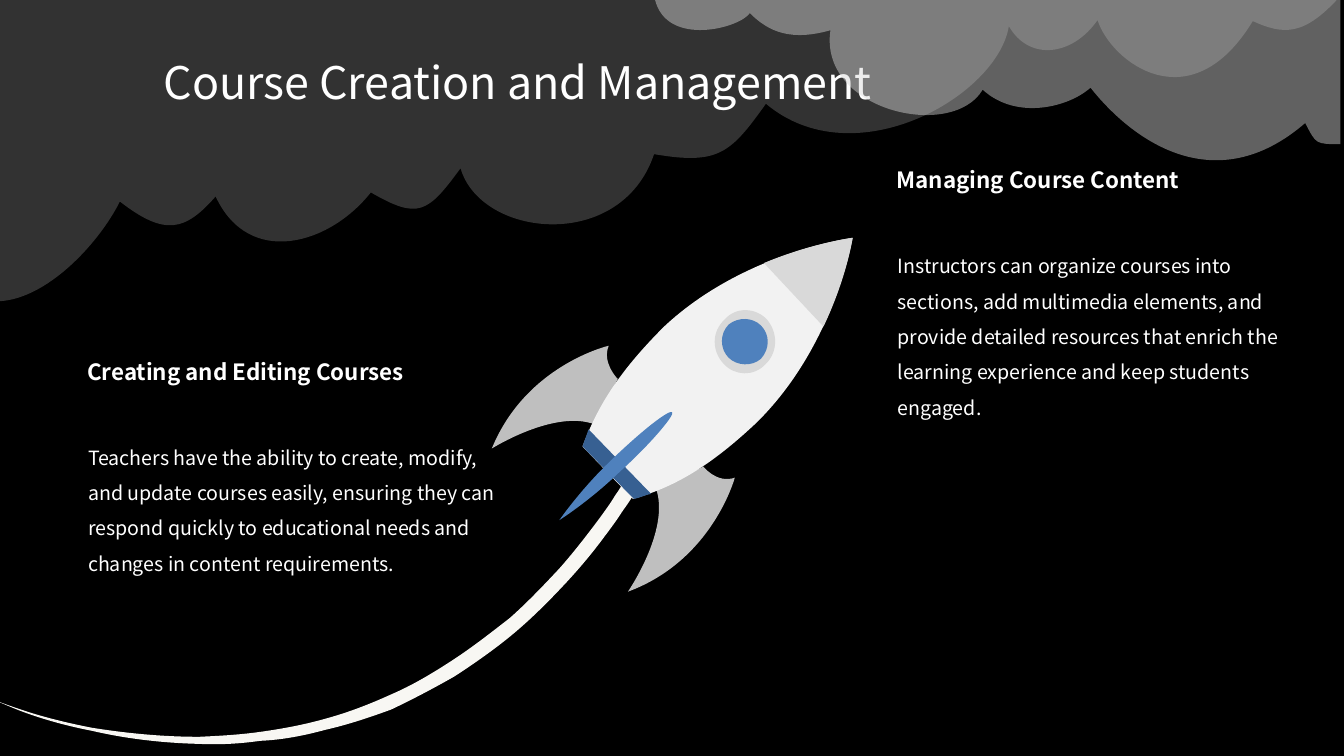
from math import cos, radians, sin

from lxml.etree import SubElement
from pptx import Presentation
from pptx.dml.color import RGBColor
from pptx.enum.text import MSO_AUTO_SIZE
from pptx.oxml.ns import qn
from pptx.util import Cm, Pt

FONT = "Noto Sans CJK SC"
GRID = Cm(2.54)
TILT = 10.1
CURVE_STEPS = 24

TITLE = ("Course Creation and Management", (3.87, 1.26, 19.79, 1.63))
COLUMNS = [
    ((1.95, 8.89), "Creating and Editing Courses",
     "Teachers have the ability to create, modify, and update courses easily, ensuring they can "
     "respond quickly to educational needs and changes in content requirements."),
    ((22.35, 4.07), "Managing Course Content",
     "Instructors can organize courses into sections, add multimedia elements, and provide "
     "detailed resources that enrich the learning experience and keep students engaged."),
]
TITLE_FORMAT = {"size": Pt(32)}
HEADING_FORMAT = {"size": Pt(16), "bold": True}
BODY_FORMAT = {"size": Pt(14)}

# Each outline holds points (x, y) and cubic curves (x1, y1, x2, y2, x, y) in GRID units.
LARGE_CLOUD = [
    (-0.04, 2.99), (0.45, 2.99, 0.98, 2.42, 1.19, 2), (1.64, 2.35, 1.84, 2.29, 2.14, 1.95),
    (2.47, 2.66, 3.27, 2.43, 3.68, 1.91), (4.15, 2.18, 4.24, 2.12, 4.57, 1.67),
    (4.77, 2.36, 6.16, 2.51, 6.49, 1.53), (7.13, 1.64, 7.25, 1.52, 7.6, 1.03),
    (8.48, 1.77, 9.9, 0.95, 10.01, 0.26), (10.21, 0.61, 10.64, 0.56, 10.89, 0.2),
    (11.02, 0.61, 11.81, 1.23, 12.43, 0.21), (12.74, 0.35, 12.94, 0.36, 13.3, -0.04),
    (-0.04, -0.04),
]
SMALL_CLOUD = [
    (13.3, 1.43), (13.05, 1.43, 13.06, 1.43, 12.95, 1.22), (12.06, 1.99, 11.24, 1.4, 10.82, 0.87),
    (10.61, 1.06, 10.09, 1.2, 9.75, 0.89), (9.45, 1.4, 8.12, 1.1, 8.24, 0.3),
    (7.85, 0.41, 7.63, 0.32, 7.44, 0.13), (7.34, 0.28, 6.62, 0.47, 6.5, 0), (13.3, 0),
]
TRAIL = [
    (-0.09, 6.93), (-0.09, 6.93, 0, 6.97, 0.18, 7.03), (0.35, 7.09, 0.6, 7.16, 0.91, 7.22),
    (1.22, 7.27, 1.59, 7.31, 1.98, 7.31), (2.18, 7.3, 2.38, 7.29, 2.59, 7.26),
    (2.8, 7.23, 3.02, 7.19, 3.23, 7.13), (3.45, 7.07, 3.66, 6.99, 3.88, 6.89),
    (4.09, 6.8, 4.29, 6.68, 4.49, 6.55), (4.69, 6.42, 4.88, 6.27, 5.06, 6.13),
    (5.24, 5.97, 5.4, 5.8, 5.55, 5.64), (5.7, 5.47, 5.83, 5.3, 5.95, 5.14),
    (6, 5.07, 6.06, 4.99, 6.1, 4.92), (6.15, 4.85, 6.19, 4.78, 6.23, 4.73),
    (6.27, 4.66, 6.3, 4.61, 6.33, 4.56), (6.36, 4.51, 6.38, 4.47, 6.41, 4.43),
    (6.45, 4.36, 6.46, 4.32, 6.46, 4.32), (6.55, 4.48),
    (6.55, 4.48, 6.53, 4.51, 6.49, 4.59), (6.47, 4.62, 6.44, 4.67, 6.41, 4.72),
    (6.38, 4.76, 6.35, 4.82, 6.3, 4.88), (6.27, 4.94, 6.22, 5.01, 6.17, 5.08),
    (6.12, 5.16, 6.06, 5.24, 6, 5.32), (5.89, 5.47, 5.75, 5.64, 5.59, 5.81),
    (5.44, 5.97, 5.27, 6.14, 5.09, 6.29), (4.91, 6.44, 4.71, 6.58, 4.51, 6.71),
    (4.3, 6.83, 4.09, 6.94, 3.88, 7.04), (3.66, 7.12, 3.45, 7.19, 3.23, 7.24),
    (3.01, 7.3, 2.8, 7.34, 2.58, 7.35), (2.37, 7.38, 2.17, 7.39, 1.97, 7.38),
    (1.57, 7.37, 1.21, 7.32, 0.91, 7.25), (0.6, 7.19, 0.35, 7.11, 0.17, 7.04),
    (0, 6.97, -0.09, 6.93, -0.09, 6.93),
]
LEFT_FIN = [
    (6.13, 3.76), (6.13, 3.76, 5.97, 3.6, 6.04, 3.43), (6.04, 3.43, 5.22, 3.62, 4.88, 4.45),
    (4.88, 4.45, 5.5, 4.06, 5.9, 4.21),
]
RIGHT_FIN = [
    (6.98, 4.63), (6.98, 4.63, 7.11, 4.8, 7.29, 4.74), (7.29, 4.74, 7.07, 5.56, 6.23, 5.87),
    (6.23, 5.87, 6.65, 5.26, 6.51, 4.85),
]
BODY = [
    (6.28, 4.95), (6.66, 4.84, 7.01, 4.66, 7.5, 4.2), (8.28, 3.44, 8.46, 2.36, 8.46, 2.36),
    (8.46, 2.36, 7.38, 2.5, 6.59, 3.24), (6.11, 3.72, 5.92, 4.06, 5.78, 4.43),
]
TAIL_BAND = [(5.84, 4.26), (5.82, 4.32, 5.8, 4.37, 5.78, 4.43), (6.29, 4.95),
             (6.35, 4.94, 6.4, 4.91, 6.46, 4.9)]
NOSE = [
    (8.17, 3.24), (8.4, 2.76, 8.46, 2.36, 8.46, 2.36), (8.46, 2.36, 8.06, 2.41, 7.58, 2.61),
]
WINDOW_RIM = [
    (7.6, 3.61), (7.48, 3.74, 7.29, 3.73, 7.18, 3.61), (7.06, 3.48, 7.06, 3.29, 7.19, 3.17),
    (7.3, 3.04, 7.5, 3.05, 7.61, 3.17), (7.72, 3.3, 7.72, 3.49, 7.6, 3.61),
]
WINDOW = [
    (7.55, 3.56), (7.46, 3.64, 7.31, 3.63, 7.23, 3.55), (7.14, 3.46, 7.14, 3.31, 7.23, 3.22),
    (7.33, 3.14, 7.47, 3.15, 7.55, 3.23), (7.64, 3.32, 7.64, 3.46, 7.55, 3.56),
]
CENTRE_FIN = [
    (6.05, 4.58), (5.75, 4.87, 5.55, 5.16, 5.55, 5.16), (5.55, 5.16, 5.85, 4.97, 6.15, 4.68),
    (6.47, 4.39, 6.7, 4.11, 6.67, 4.09), (6.64, 4.06, 6.37, 4.27, 6.05, 4.58),
]
ROCKET = [
    (TRAIL, "F8F7F3"), (LEFT_FIN, "BFBFBF"), (RIGHT_FIN, "BFBFBF"), (BODY, "F2F2F2"),
    (TAIL_BAND, "376092"), (NOSE, "D9D9D9"), (WINDOW_RIM, "D9D9D9"), (WINDOW, "4F81BD"),
    (CENTRE_FIN, "4F81BD"),
]


def paint(fill, color):
    """Make a fill solid in a hex colour."""
    fill.solid()
    fill.fore_color.rgb = RGBColor.from_string(color)


def turn(x, y, degrees):
    """Turn a point clockwise about the slide's top left corner."""
    angle = radians(degrees)
    return x * cos(angle) - y * sin(angle), x * sin(angle) + y * cos(angle)


def trace(steps):
    """Return points along lines and cubic curves, to find their extent."""
    points = [steps[0][0]]
    for step in steps[1:]:
        knots = [points[-1], *step]
        if len(step) == 1:
            points.append(step[0])
            continue
        for index in range(1, CURVE_STEPS + 1):
            t = index / CURVE_STEPS
            weights = ((1 - t) ** 3, 3 * t * (1 - t) ** 2, 3 * t * t * (1 - t), t ** 3)
            points.append(tuple(sum(w * knot[axis] for w, knot in zip(weights, knots))
                                for axis in (0, 1)))
    return points


def write_curves(shape, steps):
    """Replace the segments of a freeform by lines and cubic curves."""
    geometry = next(shape.element.iter(qn("a:path")))
    for segment in list(geometry):
        geometry.remove(segment)
    for index, step in enumerate(steps):
        tag = "a:moveTo" if index == 0 else "a:lnTo" if len(step) == 1 else "a:cubicBezTo"
        segment = SubElement(geometry, qn(tag))
        for x, y in step:
            SubElement(segment, qn("a:pt"), x=str(round(x - shape.left)),
                       y=str(round(y - shape.top)))
    SubElement(geometry, qn("a:close"))


def add_outline(slide, outline, color, tilt=0, opacity=100):
    """Draw a filled outline whose frame is tilted by some degrees."""
    steps = [[turn(x * GRID, y * GRID, -tilt) for x, y in zip(step[::2], step[1::2])]
             for step in outline]
    points = trace(steps)
    builder = slide.shapes.build_freeform(*points[0])
    builder.add_line_segments(points[1:])
    shape = builder.convert_to_shape()
    write_curves(shape, steps)
    centre_x, centre_y = turn(shape.left + shape.width / 2, shape.top + shape.height / 2, tilt)
    placement = {"left": round(centre_x - shape.width / 2),
                 "top": round(centre_y - shape.height / 2), "rotation": tilt}
    for name, value in placement.items():
        setattr(shape, name, value)
    shape.shadow.inherit = False
    shape.line.fill.background()
    paint(shape.fill, color)
    if opacity < 100:
        for color_element in shape.element.spPr.iterfind(f"{qn('a:solidFill')}/{qn('a:srgbClr')}"):
            SubElement(color_element, qn("a:alpha"), val=str(opacity * 1000))


def add_text(slide, text, box, font_format, line_spacing=None):
    """Add a wrapped white text box."""
    frame = slide.shapes.add_textbox(*map(Cm, box)).text_frame
    frame.word_wrap = True
    frame.auto_size = MSO_AUTO_SIZE.SHAPE_TO_FIT_TEXT
    paragraph = frame.paragraphs[0]
    paragraph.line_spacing = line_spacing
    run = paragraph.add_run()
    run.text = text
    for name, value in {"name": FONT, **font_format}.items():
        setattr(run.font, name, value)
    paint(run.font.fill, "FFFFFF")


def main():
    """Build and save the slide."""
    presentation = Presentation()
    presentation.slide_width, presentation.slide_height = Cm(33.87), Cm(19.05)
    slide = presentation.slides.add_slide(presentation.slide_layouts[6])
    paint(slide.background.fill, "000000")
    add_outline(slide, LARGE_CLOUD, "D9D9D9", opacity=23)
    add_text(slide, *TITLE, TITLE_FORMAT)
    for (left, top), heading, body in COLUMNS:
        add_text(slide, heading, (left, top, 10.8, 0.94), HEADING_FORMAT)
        add_text(slide, body, (left + 0.02, top + 1.92, 10.8, 5.54), BODY_FORMAT, 1.5)
    for outline, color in ROCKET:
        add_outline(slide, outline, color, TILT)
    add_outline(slide, SMALL_CLOUD, "D9D9D9", opacity=45)
    presentation.save("out.pptx")


if __name__ == "__main__":
    main()
